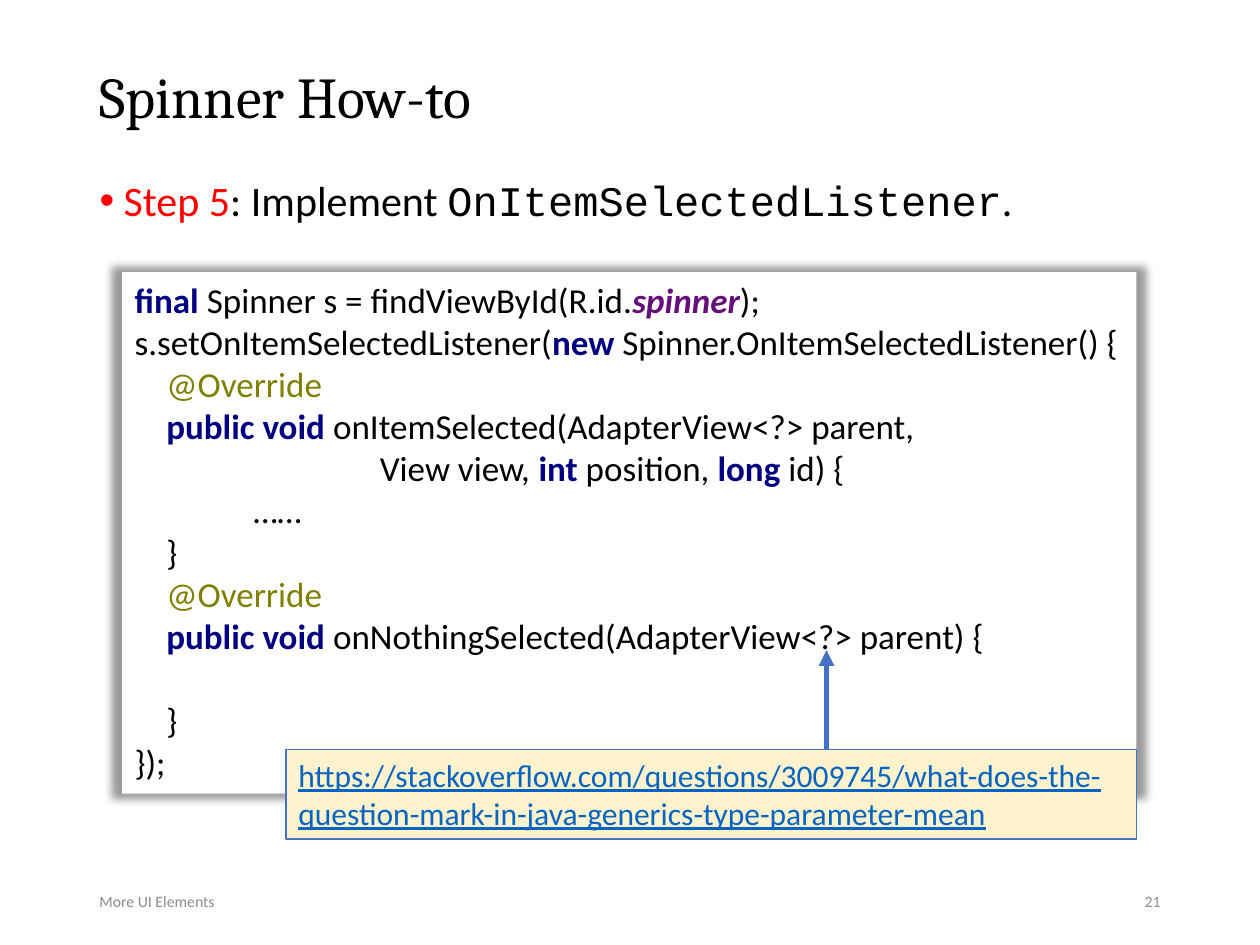
import pptx
import pptx.dml.color
import pptx.enum.shapes
import pptx.enum.text
import pptx.oxml
import pptx.oxml.ns
import pptx.util
from lxml import etree

Inches = pptx.util.Inches
Align = pptx.enum.text.PP_ALIGN
Anchor = pptx.enum.text.MSO_ANCHOR

BLACK, RED, GREY, BLUE = "000000", "FF0000", "8C8C8C", "4472C4"
PLAIN = {"color": BLACK}
KEYWORD = {"color": "000080", "bold": True}
ANNOTATION = {"color": "808000"}
FIELD = {"color": "660E7A", "bold": True, "italic": True}

# Each code line is a list of (text, format) spans
OVERRIDE = [("    ", PLAIN), ("@Override", ANNOTATION)]
METHOD = [("    ", PLAIN), ("public void ", KEYWORD)]
CODE = [
    [("final ", KEYWORD), ("Spinner s = findViewById(R.id.", PLAIN),
     ("spinner", FIELD), (");", PLAIN)],
    [("s.setOnItemSelectedListener(", PLAIN), ("new ", KEYWORD),
     ("Spinner.OnItemSelectedListener() {", PLAIN)],
    OVERRIDE,
    METHOD + [("onItemSelected(AdapterView<?> parent,", PLAIN)],
    [("                               View view, ", PLAIN), ("int ", KEYWORD),
     ("position, ", PLAIN), ("long ", KEYWORD), ("id) {", PLAIN)],
    [("               ……", PLAIN)],
    [("    }", PLAIN)],
    OVERRIDE,
    METHOD + [("onNothingSelected(AdapterView<?> parent) {", PLAIN)],
    [],
    [("    }", PLAIN)],
    [("});", PLAIN)],
]
LINK = ("https://stackoverflow.com/questions/3009745/"
        "what-does-the-question-mark-in-java-generics-type-parameter-mean")


def rgb(value):
    return pptx.dml.color.RGBColor.from_string(value)


def add_xml(parent, tag, **attributes):
    element = etree.SubElement(parent, pptx.oxml.ns.qn(tag))
    for name, value in attributes.items():
        element.set(name, str(value))
    return element


def place(shape, left, top, width, height):
    shape.left, shape.top = Inches(left), Inches(top)
    shape.width, shape.height = Inches(width), Inches(height)


def set_frame(shape, anchor):
    frame = shape.text_frame
    formats = {"word_wrap": True, "vertical_anchor": anchor,
               "auto_size": pptx.enum.text.MSO_AUTO_SIZE.NONE}
    for name, value in formats.items():
        setattr(frame, name, value)
    return frame.paragraphs[0]


def add_span(para, text, size, color=BLACK, name="Calibri", **formats):
    span = para.add_run()
    span.text = text
    span.font.color.rgb = rgb(color)
    for key, value in {"name": name, "size": pptx.util.Pt(size), **formats}.items():
        setattr(span.font, key, value)


def fill_title(title):
    place(title, 0.69, 0.4, 8.62, 0.79)
    para = set_frame(title, Anchor.MIDDLE)
    para.alignment = Align.LEFT
    para.line_spacing = 0.9
    add_span(para, "Spinner How-to", 33, name="Cambria")


def fill_body(body):
    place(body, 0.69, 1.38, 8.62, 5.38)
    para = set_frame(body, Anchor.TOP)
    para.line_spacing = 0.9
    para.space_before = pptx.util.Pt(0)
    properties = para._p.get_or_add_pPr()
    properties.set("marL", str(Inches(0.19)))
    properties.set("indent", str(Inches(-0.19)))
    add_xml(properties, "a:buFont", typeface="Arial")
    add_xml(properties, "a:buChar", char="•")
    add_span(para, "Step 5", 24, RED)
    add_span(para, ": Implement ", 24)
    add_span(para, "OnItemSelectedListener", 24, name="Courier New")
    add_span(para, ".", 24)


def add_footer(slide, left, text, alignment):
    box = slide.shapes.add_textbox(Inches(left), Inches(6.95), Inches(2.25), Inches(0.4))
    para = set_frame(box, Anchor.MIDDLE)
    para.alignment = alignment
    add_span(para, text, 9, GREY)


def add_panel(slide, left, top, width, height, fill, line=None):
    panel = slide.shapes.add_shape(
        pptx.enum.shapes.MSO_SHAPE.RECTANGLE,
        Inches(left), Inches(top), Inches(width), Inches(height))
    panel.shadow.inherit = False
    panel.fill.solid()
    panel.fill.fore_color.rgb = rgb(fill)
    if line:
        panel.line.color.rgb = rgb(line)
        panel.line.width = pptx.util.Pt(0.75)
    else:
        panel.line.fill.background()
    para = set_frame(panel, Anchor.TOP)
    para.alignment = Align.LEFT
    return panel, para


def add_glow_shadow(shape):
    effects = shape._element.spPr.find(pptx.oxml.ns.qn("a:effectLst"))
    shadow = add_xml(effects, "a:outerShdw", blurRad=pptx.util.Pt(5), sx=102000,
                     sy=102000, algn="ctr", rotWithShape=0)
    color = add_xml(shadow, "a:srgbClr", val=BLACK)
    add_xml(color, "a:alpha", val=40000)


def add_code(slide):
    panel, para = add_panel(slide, 0.97, 2.16, 8.05, 4.14, "FFFFFF")
    add_glow_shadow(panel)
    para.font.size = pptx.util.Pt(20)
    for number, line in enumerate(CODE):
        if number:
            para.add_line_break()
        for text, formats in line:
            add_span(para, text, 20, **formats)
    # Line breaks need the code size too, so that the blank line keeps its height
    for line_break in para._p.findall(pptx.oxml.ns.qn("a:br")):
        add_xml(line_break, "a:rPr", sz=2000)


def add_arrow(slide, x, start, end):
    arrow = slide.shapes.add_connector(
        pptx.enum.shapes.MSO_CONNECTOR.STRAIGHT,
        Inches(x), Inches(start), Inches(x), Inches(end))
    arrow.line.color.rgb = rgb(BLUE)
    arrow.line.width = pptx.util.Pt(3)
    add_xml(arrow.line._get_or_add_ln(), "a:tailEnd", type="triangle")
    add_xml(arrow._element.spPr, "a:effectLst")


def main():
    deck = pptx.Presentation()
    deck.slide_width, deck.slide_height = Inches(10), Inches(7.5)
    slide = deck.slides.add_slide(deck.slide_layouts[1])

    # Title, step and footer
    fill_title(slide.shapes.title)
    fill_body(slide.placeholders[1])
    add_footer(slide, 0.69, "More UI Elements", Align.LEFT)
    add_footer(slide, 7.06, "21", Align.RIGHT)

    # Code listing with the explanatory link
    add_code(slide)
    para = add_panel(slide, 2.27, 5.95, 6.75, 0.71, "FFF2CC", BLUE)[1]
    add_span(para, LINK, 18, "0563C1", underline=True)
    add_arrow(slide, 6.56, 5.95, 5.16)

    deck.save("out.pptx")


if __name__ == "__main__":
    main()
